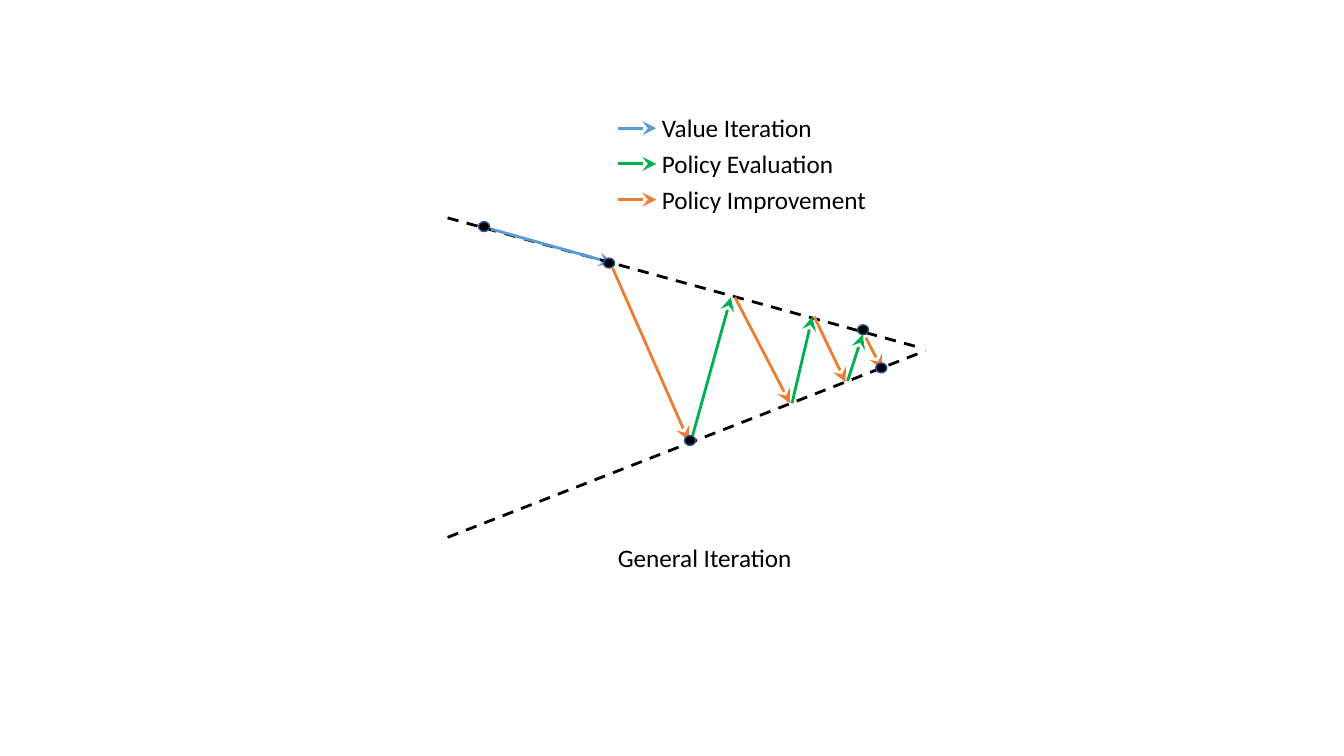
from lxml.etree import SubElement
from pptx import Presentation
from pptx.dml.color import RGBColor
from pptx.enum.dml import MSO_LINE
from pptx.enum.shapes import MSO_CONNECTOR, MSO_SHAPE
from pptx.oxml.ns import qn
from pptx.util import Cm, Pt

BLACK = "000000"
DOT_EDGE = "325491"
VALUE_ITERATION = "5B9BD5"
POLICY_EVALUATION = "00B050"
POLICY_IMPROVEMENT = "ED7D31"

LEGEND = [
    ("Value Iteration", VALUE_ITERATION),
    ("Policy Evaluation", POLICY_EVALUATION),
    ("Policy Improvement", POLICY_IMPROVEMENT),
]
LEGEND_TOP, LEGEND_STEP = 3.23, 0.9

# Coordinates in centimetres: start x, start y, end x, end y
BOUNDS = [(11.28, 5.49, 23.19, 8.76), (11.28, 13.54, 23.32, 8.84)]
STEPS = {
    VALUE_ITERATION: [(12.37, 5.77, 15.44, 6.63)],
    POLICY_EVALUATION: [
        (17.42, 11.1, 18.42, 7.49),
        (19.96, 10.16, 20.47, 7.98),
        (21.36, 9.6, 21.74, 8.43),
    ],
    POLICY_IMPROVEMENT: [
        (15.44, 6.76, 17.35, 11.1),
        (18.52, 7.49, 19.91, 10.16),
        (20.52, 7.98, 21.31, 9.63),
        (21.82, 8.51, 22.23, 9.3),
    ],
}
DOT_CENTRES = [(12.2, 5.71), (15.35, 6.63), (17.39, 11.1), (21.75, 8.31), (22.21, 9.27)]
DOT_WIDTH, DOT_HEIGHT = 0.28, 0.25


def rgb(colour):
    return RGBColor.from_string(colour)


def add_line(slide, ends, colour):
    line = slide.shapes.add_connector(MSO_CONNECTOR.STRAIGHT, *map(Cm, ends))
    line.line.color.rgb = rgb(colour)
    line.line.width = Pt(2)
    SubElement(line._element.spPr, qn("a:effectLst"))
    return line


def add_bound(slide, ends):
    add_line(slide, ends, BLACK).line.dash_style = MSO_LINE.DASH


def add_arrow(slide, ends, colour):
    arrow = add_line(slide, ends, colour)
    SubElement(arrow.line._get_or_add_ln(), qn("a:tailEnd"),
               type="stealth", w="lg", len="lg")


def add_dot(slide, x, y):
    dot = slide.shapes.add_shape(
        MSO_SHAPE.OVAL, Cm(x - DOT_WIDTH / 2), Cm(y - DOT_HEIGHT / 2),
        Cm(DOT_WIDTH), Cm(DOT_HEIGHT))
    dot.shadow.inherit = False
    dot.fill.solid()
    dot.fill.fore_color.rgb = rgb(BLACK)
    dot.line.color.rgb = rgb(DOT_EDGE)
    dot.line.width = Pt(1)


def add_label(slide, text, left, top):
    label = slide.shapes.add_textbox(Cm(left), Cm(top), Cm(5.8), Cm(1.02))
    label.text_frame.word_wrap = True
    paragraph = label.text_frame.paragraphs[0]
    paragraph.text = text
    paragraph.font.name = "Calibri"
    paragraph.font.size = Pt(18)
    paragraph.font.color.rgb = rgb(BLACK)


def add_legend(slide):
    for row, (text, colour) in enumerate(LEGEND):
        y = LEGEND_TOP + row * LEGEND_STEP
        add_arrow(slide, (15.57, y, 16.54, y), colour)
        add_label(slide, text, 16.43, y - 0.52)


def main():
    presentation = Presentation()
    presentation.slide_width, presentation.slide_height = Cm(33.87), Cm(19.05)
    slide = presentation.slides.add_slide(presentation.slide_layouts[6])
    for ends in BOUNDS:
        add_bound(slide, ends)
    for colour, arrows in STEPS.items():
        for ends in arrows:
            add_arrow(slide, ends, colour)
    for x, y in DOT_CENTRES:
        add_dot(slide, x, y)
    add_legend(slide)
    add_label(slide, "General Iteration", 15.32, 13.54)
    presentation.save("out.pptx")


if __name__ == "__main__":
    main()
